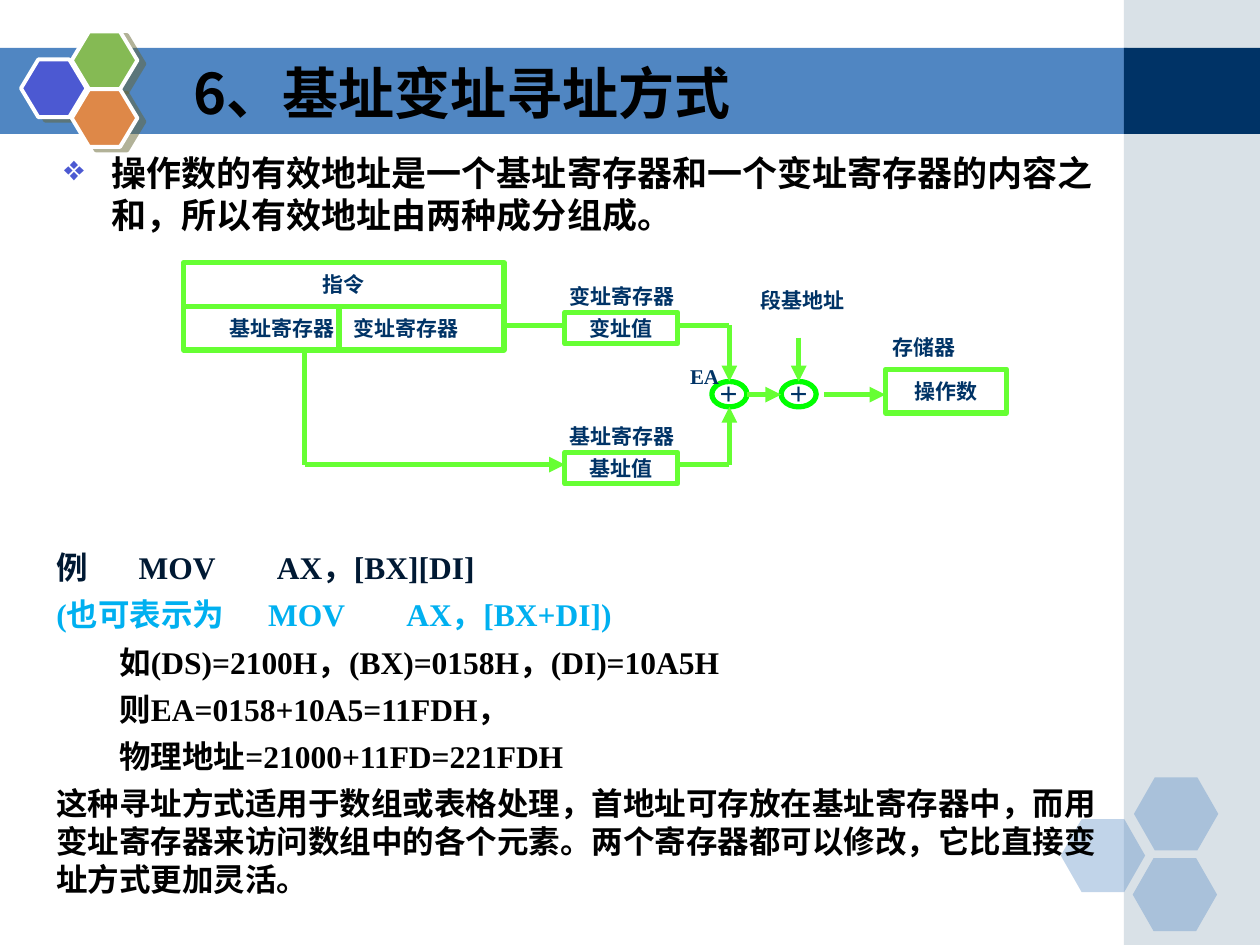
from lxml import etree
from pptx import Presentation
from pptx.dml.color import RGBColor
from pptx.enum.shapes import MSO_CONNECTOR, MSO_SHAPE
from pptx.enum.text import MSO_ANCHOR, PP_ALIGN
from pptx.oxml.ns import qn
from pptx.util import Pt

RECTANGLE, OVAL, HEXAGON = MSO_SHAPE.RECTANGLE, MSO_SHAPE.OVAL, MSO_SHAPE.HEXAGON
STRAIGHT = MSO_CONNECTOR.STRAIGHT
LEFT, CENTER = PP_ALIGN.LEFT, PP_ALIGN.CENTER
TOP, MIDDLE = MSO_ANCHOR.TOP, MSO_ANCHOR.MIDDLE
SANS, HEAVY, SERIF = "Lato", "Noto Sans CJK SC", "Times New Roman"
BLACK, NAVY, BLUE, GREEN = "000000", "003366", "5086C2", "66FF33"


def color(hex_string):
    return RGBColor.from_string(hex_string)


def add_element(parent, tag, **attributes):
    element = etree.SubElement(parent, qn(tag))
    for name, value in attributes.items():
        element.set(name, str(value))
    return element


def add_figure(slide, kind, box, fill=None, alpha=None, line=None, line_width=3):
    shape = slide.shapes.add_shape(kind, *map(Pt, box))
    shape.shadow.inherit = False
    if fill:
        shape.fill.solid()
        shape.fill.fore_color.rgb = color(fill)
    else:
        shape.fill.background()
    if alpha:
        solid = shape.fill._xPr.find(qn("a:solidFill"))
        add_element(solid[0], "a:alpha", val=alpha * 1000)
    if line:
        shape.line.color.rgb = color(line)
        shape.line.width = Pt(line_width)
    else:
        shape.line.fill.background()
    return shape


def add_line(slide, start, end, arrow=False):
    connector = slide.shapes.add_connector(STRAIGHT, *map(Pt, (*start, *end)))
    connector.line.color.rgb = color(GREEN)
    connector.line.width = Pt(3)
    if arrow:
        add_element(connector.line._get_or_add_ln(), "a:tailEnd", type="triangle")
    add_element(connector._element.spPr, "a:effectLst")


def add_tabs(paragraph, stops):
    tab_list = add_element(paragraph._p.get_or_add_pPr(), "a:tabLst")
    for stop in stops:
        add_element(tab_list, "a:tab", pos=Pt(stop), algn="l")


def format_paragraph(paragraph, size, font, text_color, alignment=LEFT):
    paragraph.alignment = alignment
    for run in paragraph.runs:
        run.font.size = Pt(size)
        run.font.name = font
        run.font.bold = True
        run.font.color.rgb = color(text_color)
        add_element(run._r.get_or_add_rPr(), "a:ea", typeface=SANS)


def write(shape, text, size=12, font=SANS, text_color=NAVY, alignment=CENTER,
          anchor=MIDDLE, wrap=False):
    frame = shape.text_frame
    frame.text = text
    frame.word_wrap = wrap
    frame.vertical_anchor = anchor
    format_paragraph(frame.paragraphs[0], size, font, text_color, alignment)
    return frame


def add_text(slide, box, text, **style):
    return write(slide.shapes.add_textbox(*map(Pt, box)), text, **style)


def draw_background(slide, width, height):
    band_top, band_height, side = 27.3, 49.3, 642.2
    add_figure(slide, RECTANGLE, (0, band_top, side + 2, band_height), BLUE)
    add_figure(slide, RECTANGLE, (side, 0, width - side, height), "A0B5C4", 40)
    add_figure(slide, RECTANGLE, (side, band_top, width - side, band_height), NAVY)

    # Pale hexagons in the corner
    for left, top in ((606.2, 468), (648, 444.2), (647.3, 490.3)):
        hexagon = add_figure(slide, HEXAGON, (left, top, 48.2, 41.8), BLUE, 35)
        hexagon.adjustments[0] = 0.286


def draw_emblem(slide, left, top):
    cells = ((0, 16, "4C59D2"), (29, 0, "85BA54"), (29, 33, "DE8848"))
    for x, y, fill in cells:
        hexagon = add_figure(slide, HEXAGON, (left + x, top + y, 37.5, 33),
                             fill, line="FFFFFF", line_width=2.25)
        hexagon.adjustments[0] = 0.3
        effects = hexagon._element.spPr.find(qn("a:effectLst"))
        shadow = add_element(effects, "a:outerShdw", dist=Pt(4.5), dir=27 * 60000,
                             algn="ctr", rotWithShape=0)
        shade = add_element(shadow, "a:srgbClr", val="666633")
        add_element(shade, "a:alpha", val=50000)


def add_title(slide, box):
    frame = add_text(slide, box, "6、基址变址寻址方式", size=32, font=HEAVY,
                     text_color=BLACK, alignment=LEFT, wrap=True)
    frame.margin_left = Pt(20.5)


def add_definition(slide, box):
    frame = add_text(
        slide, box,
        "操作数的有效地址是一个基址寄存器和一个变址寄存器的内容之和，所以有效地址由两种成分组成。",
        size=20, font=HEAVY, text_color=BLACK, alignment=LEFT, anchor=TOP, wrap=True)
    properties = frame.paragraphs[0]._p.get_or_add_pPr()
    properties.set("marL", str(Pt(27)))
    properties.set("indent", str(Pt(-27)))
    bullet_color = add_element(properties, "a:buClr")
    add_element(bullet_color, "a:srgbClr", val="4C59D2")
    add_element(properties, "a:buChar", char="❖")


def draw_diagram(slide, left, top):
    def place(x, y, width, height):
        return left + x, top + y, width, height

    def box(text, *area):
        return write(add_figure(slide, RECTANGLE, place(*area), line=GREEN), text)

    def label(text, x, y):
        add_text(slide, place(x, y, 104, 25), text)

    def route(*points, arrow=True):
        placed = [(left + x, top + y) for x, y in points]
        last = len(placed) - 2
        for index, (start, end) in enumerate(zip(placed, placed[1:])):
            add_line(slide, start, end, arrow and index == last)

    # Instruction with its two register fields
    fields = box("基址寄存器\t变址寄存器", 0, 25, 183, 25)
    fields.word_wrap = True
    fields.margin_left, fields.margin_right = Pt(26), 0
    fields.paragraphs[0].alignment = LEFT
    add_tabs(fields.paragraphs[0], [71])
    box("指令", 0, 0, 183, 25)
    route((88.7, 25), (88.7, 50), arrow=False)

    # Index and base registers
    for name, value, y in (("变址寄存器", "变址值", 28.5), ("基址寄存器", "基址值", 108.5)):
        box(value, 217.8, y, 64.4, 18)
        label(name, 198.3, y - 21.5)

    # Adders
    for x in (301.8, 341.4):
        write(add_figure(slide, OVAL, place(x, 68, 20, 14.5), line="00FF00"), "＋")

    # Operand in memory
    box("操作数", 401, 61, 69.2, 25)
    label("存储器", 371, 36)
    label("段基地址", 301.8, 36 - 27)

    # Data flow
    route((183, 36), (217.8, 36), arrow=False)
    route((282.2, 36), (311.8, 36), (311.8, 68))
    route((69.2, 50), (69.2, 115.5), (217.8, 115.5))
    route((282.2, 115.5), (311.8, 115.5), (311.8, 82.5))
    route((321.8, 75.5), (341.4, 75.5))
    route((351.4, 43), (351.4, 68))
    route((366, 75.5), (401, 75.5))
    add_text(slide, place(282.2, 54, 40, 21.5), "EA", font=SERIF,
             alignment=LEFT, anchor=TOP, wrap=True)


def add_example(slide, box):
    # Text, colour, left indent, tab stops
    lines = (
        ("例\tMOV\tAX，[BX][DI]", "001933", 0, (47, 126)),
        ("(也可表示为\tMOV\tAX，[BX+DI])", "00B0F0", 0, (121, 200)),
        ("如(DS)=2100H，(BX)=0158H，(DI)=10A5H", BLACK, 36, ()),
        ("则EA=0158+10A5=11FDH，", BLACK, 36, ()),
        ("物理地址=21000+11FD=221FDH", BLACK, 36, ()),
        ("这种寻址方式适用于数组或表格处理，首地址可存放在基址寄存器中，而用变址寄存器来访问"
         "数组中的各个元素。两个寄存器都可以修改，它比直接变址方式更加灵活。", BLACK, 0, ()),
    )
    frame = slide.shapes.add_textbox(*map(Pt, box)).text_frame
    frame.word_wrap = True
    for index, (text, text_color, indent, stops) in enumerate(lines):
        paragraph = frame.add_paragraph() if index else frame.paragraphs[0]
        paragraph.text = text
        if stops:
            add_tabs(paragraph, stops)
        if indent:
            paragraph._p.get_or_add_pPr().set("marL", str(Pt(indent)))
        if index:
            paragraph.space_before = Pt(5.4)
        format_paragraph(paragraph, 18, SERIF, text_color)


def main():
    presentation = Presentation()
    presentation.slide_width, presentation.slide_height = Pt(720), Pt(540)
    slide = presentation.slides.add_slide(presentation.slide_layouts[6])
    draw_background(slide, 720, 540)
    draw_emblem(slide, 12, 18)
    add_title(slide, (90, 30.2, 528, 44.6))
    add_definition(slide, (29.5, 82.8, 614, 413))
    draw_diagram(slide, 105, 150)
    add_example(slide, (25.2, 309.6, 612, 214.6))
    presentation.save("out.pptx")


if __name__ == "__main__":
    main()
